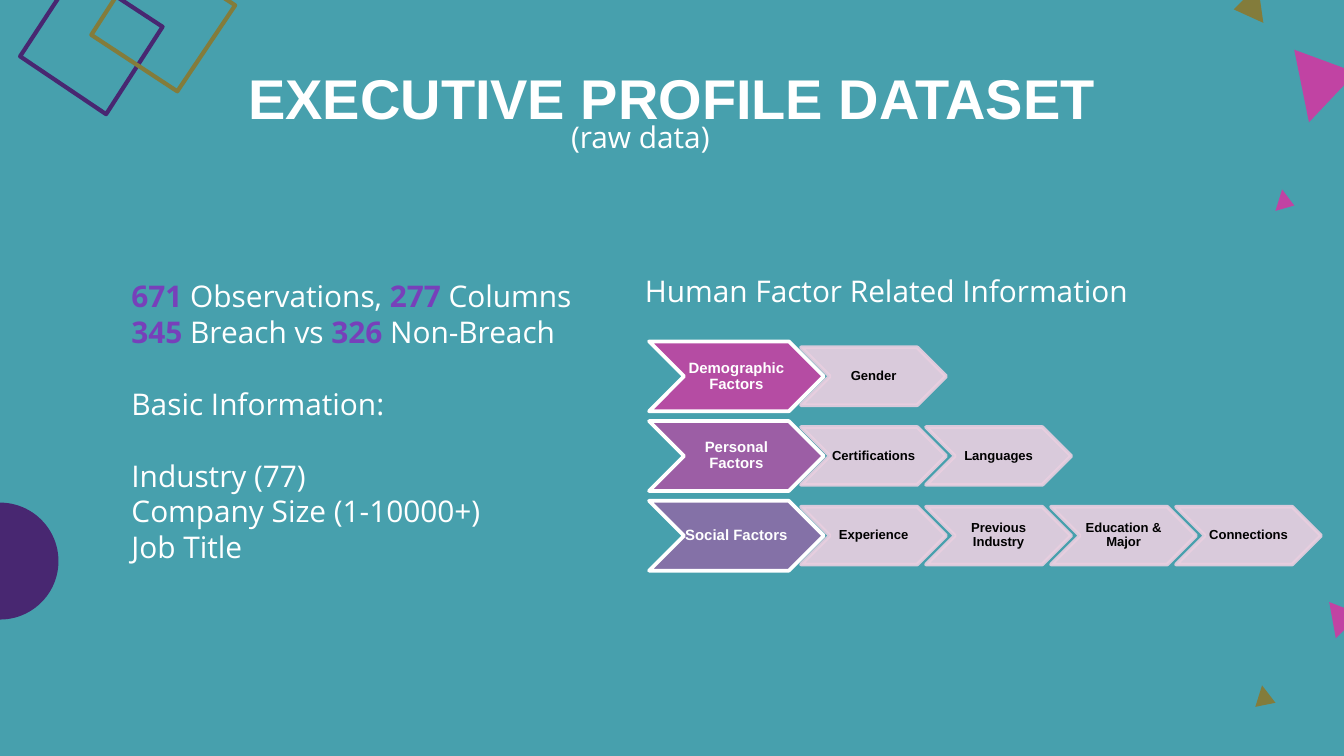
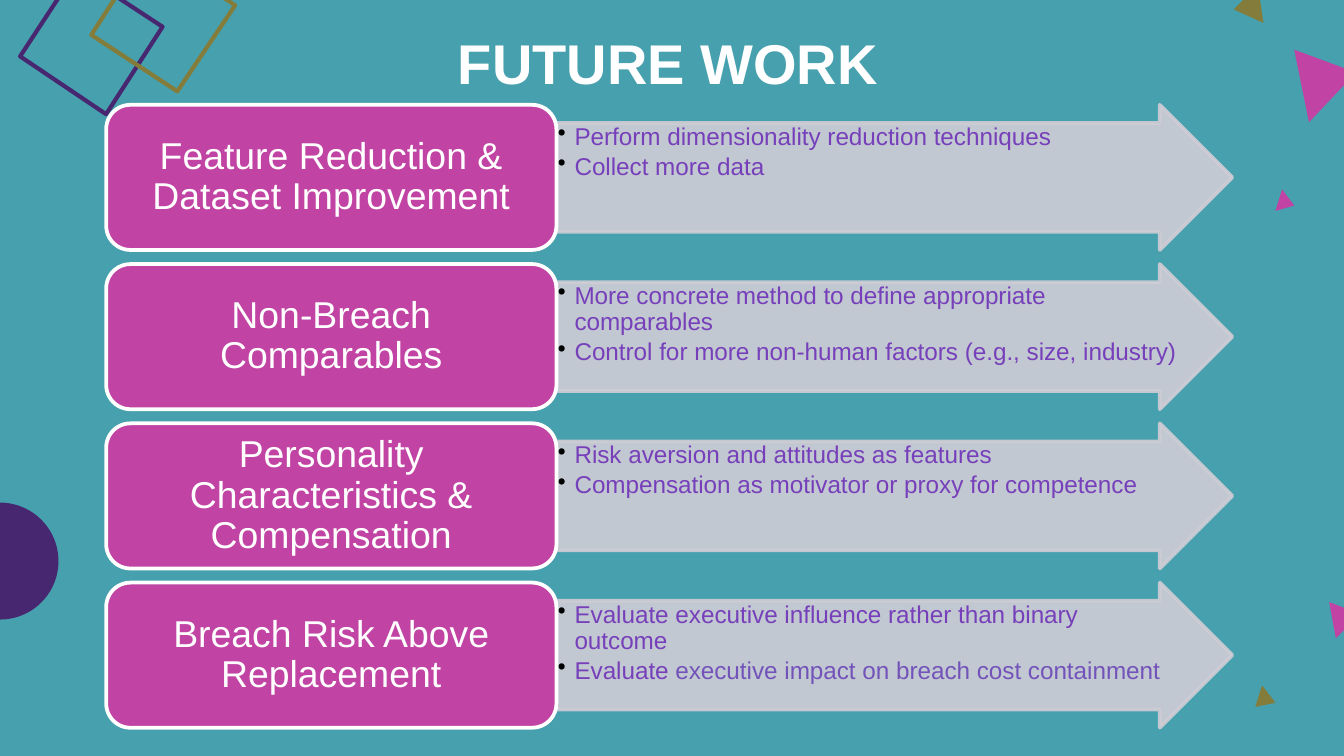
from dataclasses import dataclass

from lxml import etree
from pptx import Presentation
from pptx.dml.color import RGBColor
from pptx.enum.shapes import MSO_SHAPE
from pptx.enum.text import MSO_ANCHOR, PP_ALIGN
from pptx.oxml.ns import qn
from pptx.util import Inches, Pt

CHEVRON = MSO_SHAPE.CHEVRON
ARROW = MSO_SHAPE.RIGHT_ARROW
ROUNDED = MSO_SHAPE.ROUNDED_RECTANGLE
OVAL = MSO_SHAPE.OVAL
TOP, MIDDLE = MSO_ANCHOR.TOP, MSO_ANCHOR.MIDDLE
LEFT, CENTER = PP_ALIGN.LEFT, PP_ALIGN.CENTER

COLUMNS, ROWS = 100, 56.25


@dataclass(frozen=True)
class TextStyle:
    """Text between asterisks takes the accent colour and weight."""
    font: str
    size: float
    color: str
    bold: bool = False
    accent: str = ""
    accent_bold: bool = False


class Theme:
    TEAL = "47A0AD"
    WHITE = "FFFFFF"
    BLACK = "000000"
    INDIGO = "482771"
    OLIVE = "837C3B"
    MAGENTA = "C143A3"
    VIOLET = "7740BA"
    SOFT_VIOLET = "7353BA"
    BLUSH = "E9CFE0"
    SILVER = "CFCDD5"

    TITLE = TextStyle("Arial", 30, WHITE, bold=True)
    BODY = TextStyle("Open Sans", 16, WHITE, accent=VIOLET, accent_bold=True)
    FACTOR = TextStyle("Arial", 8, WHITE, bold=True)
    TAG = TextStyle("Arial", 7, BLACK, bold=True)
    TOPIC = TextStyle("Arial", 20, WHITE)
    TASK = TextStyle("Arial", 13, VIOLET, accent=SOFT_VIOLET)

    GROUP_GAP = 19.2
    TASK_GAP = 2
    TIGHT = 0.9
    OUTLINE = 2


SQUARES = [
    (Theme.INDIGO, [(7.9, 8.5), (1.5, 4.2), (5.7, -2.2), (12.1, 2)]),
    (Theme.OLIVE, [(13.2, 6.8), (6.8, 2.6), (11, -3.9), (17.5, 0.4)]),
]
TRIANGLES = [
    (Theme.MAGENTA, [(100.9, 5.4), (97.4, 9.1), (96.3, 3.7)]),
    (Theme.MAGENTA, [(96.3, 15.3), (94.9, 15.7), (95.4, 14.1)]),
    (Theme.MAGENTA, [(101.2, 45.7), (99.4, 47.5), (98.9, 44.8)]),
    (Theme.OLIVE, [(94.9, 52.3), (93.4, 52.6), (93.9, 51)]),
    (Theme.OLIVE, [(94, 1.7), (91.8, 0.7), (93.6, -1.1)]),
]


def rgb(color):
    return RGBColor.from_string(color)


def set_opacity(element, percent):
    for color in element.iter(qn("a:srgbClr")):
        etree.SubElement(color, qn("a:alpha"), val=str(percent * 1000))


def add_bullet(p, color, indent):
    pPr = p._p.get_or_add_pPr()
    pPr.set("marL", str(indent))
    pPr.set("indent", str(-indent))
    bullet_color = etree.SubElement(pPr, qn("a:buClr"))
    etree.SubElement(bullet_color, qn("a:srgbClr"), val=color)
    etree.SubElement(pPr, qn("a:buChar"), char="•")


class Deck:
    """Holds the presentation and the current slide; lengths are grid units."""

    def __init__(self):
        self.prs = Presentation()
        self.prs.slide_width = Inches(10)
        self.prs.slide_height = Inches(5.625)
        self.s = None

    def x(self, columns):
        return round(self.prs.slide_width * columns / COLUMNS)

    def y(self, rows):
        return round(self.prs.slide_height * rows / ROWS)

    def frame(self, left, top, width, height):
        return self.x(left), self.y(top), self.x(width), self.y(height)

    def new_slide(self, title, left, top):
        self.s = self.prs.slides.add_slide(self.prs.slide_layouts[6])
        fill = self.s.background.fill
        fill.solid()
        fill.fore_color.rgb = rgb(Theme.TEAL)
        for color, points in SQUARES:
            self.outline(points, line=color, width=2.25)
        self.shape(OVAL, (-4.35, 37.4, 8.7, 8.7), Theme.INDIGO)
        for color, points in TRIANGLES:
            self.outline(points, fill=color)
        self.text((left, top, 86.6, 6.3), [[title]], Theme.TITLE,
                  align=CENTER, anchor=MIDDLE)

    def paint(self, sp, fill=None, line=None, width=Theme.OUTLINE):
        sp.shadow.inherit = False
        if fill:
            sp.fill.solid()
            sp.fill.fore_color.rgb = rgb(fill)
        else:
            sp.fill.background()
        if line:
            sp.line.color.rgb = rgb(line)
            sp.line.width = Pt(width)
        else:
            sp.line.fill.background()

    def outline(self, points, **paint):
        """Draw a closed polygon through grid points."""
        corners = [(self.x(cx), self.y(cy)) for cx, cy in points]
        builder = self.s.shapes.build_freeform(*corners[0])
        builder.add_line_segments(corners[1:], close=True)
        self.paint(builder.convert_to_shape(), **paint)

    def shape(self, kind, box, fill, line=None, opacity=100, line_opacity=100):
        sp = self.s.shapes.add_shape(kind, *self.frame(*box))
        self.paint(sp, fill, line)
        spPr = sp._element.spPr
        if opacity < 100:
            set_opacity(spPr.find(qn("a:solidFill")), opacity)
        if line_opacity < 100:
            set_opacity(spPr.find(qn("a:ln")), line_opacity)
        return sp

    def text(self, box, groups, style, **layout):
        sp = self.s.shapes.add_textbox(*self.frame(*box))
        self.fill_text(sp, groups, style, **layout)

    def fill_text(self, sp, groups, style, align=LEFT, anchor=TOP,
                  inset=(1, 1), indent=0, spacing=None, gap=Theme.GROUP_GAP,
                  bullet=None):
        """Fill a shape with groups of paragraphs, a gap between groups."""
        tf = sp.text_frame
        tf.word_wrap = True
        tf.vertical_anchor = anchor
        tf.margin_left = tf.margin_right = self.x(inset[0])
        tf.margin_top = tf.margin_bottom = self.y(inset[1])
        lines = [(line, g > 0 and i == 0)
                 for g, group in enumerate(groups)
                 for i, line in enumerate(group)]
        for n, (line, opens_group) in enumerate(lines):
            p = tf.add_paragraph() if n else tf.paragraphs[0]
            p.alignment = align
            if spacing:
                p.line_spacing = spacing
            if opens_group:
                p.space_before = Pt(gap)
            if bullet:
                add_bullet(p, bullet, self.x(indent))
            elif indent:
                p._p.get_or_add_pPr().set("marL", str(self.x(indent)))
            self.add_runs(p, line, style)

    def add_runs(self, p, line, style):
        for n, part in enumerate(line.split("*")):
            if not part:
                continue
            accented = n % 2 == 1
            r = p.add_run()
            r.text = part
            r.font.name = style.font
            r.font.size = Pt(style.size)
            r.font.bold = style.accent_bold if accented else style.bold
            r.font.color.rgb = rgb(style.accent if accented else style.color)

    def factor_row(self, top, factor, opacity, tags):
        sp = self.shape(CHEVRON, (48.3, top, 13, 5.2), Theme.MAGENTA,
                        Theme.WHITE, opacity)
        label = dict(align=CENTER, anchor=MIDDLE, inset=(0.05, 0.05),
                     spacing=Theme.TIGHT)
        self.fill_text(sp, [[factor]], Theme.FACTOR, **label)
        for n, tag in enumerate(tags):
            sp = self.shape(CHEVRON, (59.6 + 9.3 * n, top + 0.45, 10.8, 4.3),
                            Theme.BLUSH, Theme.BLUSH, 90, 90)
            self.fill_text(sp, [[tag]], Theme.TAG, **label)

    def topic_row(self, top, topic, tasks):
        sp = self.shape(ARROW, (41.4, top, 50.3, 10.8), Theme.SILVER,
                        Theme.SILVER, 90, 90)
        sp.adjustments[0] = 0.75
        sp.adjustments[1] = 0.5
        self.fill_text(sp, [[task] for task in tasks], Theme.TASK,
                       inset=(0.1, 0.1), indent=1.25, spacing=Theme.TIGHT,
                       gap=Theme.TASK_GAP, bullet=Theme.BLACK)
        sp = self.shape(ROUNDED, (7.9, top, 33.5, 10.8), Theme.MAGENTA,
                        Theme.WHITE)
        self.fill_text(sp, [[topic]], Theme.TOPIC, align=CENTER,
                       anchor=MIDDLE, inset=(0.8, 0.4), spacing=Theme.TIGHT)


def dataset_slide(deck):
    deck.new_slide("EXECUTIVE PROFILE DATASET", 6.7, 4.1)
    deck.text((7.3, 19.7, 40.5, 26.6), [
        ["*671* Observations, *277 *Columns",
         "*345 *Breach vs *326* Non-Breach"],
        ["Basic Information:"],
        ["Industry (77)", "Company Size (1-10000+)", "Job Title"],
    ], Theme.BODY, indent=1.5)
    deck.text((41.1, 7.8, 13.1, 4.1), [["(raw data)"]], Theme.BODY,
              align=CENTER)
    factors = [
        ("Demographic Factors", 90, ["Gender"]),
        ("Personal Factors", 70, ["Certifications", "Languages"]),
        ("Social Factors", 50, ["Experience", "Previous Industry",
                                "Education & Major", "Connections"]),
    ]
    for n, (factor, opacity, tags) in enumerate(factors):
        deck.factor_row(25.4 + 5.93 * n, factor, opacity, tags)
    deck.text((45.5, 19.3, 40.5, 6.6), [["Human Factor Related Information"]],
              Theme.BODY, indent=1.5)


def future_work_slide(deck):
    deck.new_slide("FUTURE WORK", 6.4, 1.5)
    topics = [
        ("Feature Reduction & Dataset Improvement",
         ["Perform dimensionality reduction techniques",
          "Collect more data"]),
        ("Non-Breach Comparables",
         ["More concrete method to define appropriate comparables",
          "Control for more non-human factors (e.g., size, industry)"]),
        ("Personality Characteristics & Compensation",
         ["Risk aversion and attitudes as features",
          "Compensation as motivator or proxy for competence"]),
        ("Breach Risk Above Replacement",
         ["Evaluate executive influence rather than binary outcome",
          "Evaluate *executive impact on breach cost containment*"]),
    ]
    for n, (topic, tasks) in enumerate(topics):
        deck.topic_row(7.8 + 11.85 * n, topic, tasks)


def main():
    deck = Deck()
    dataset_slide(deck)
    future_work_slide(deck)
    deck.prs.save("out.pptx")


if __name__ == "__main__":
    main()
